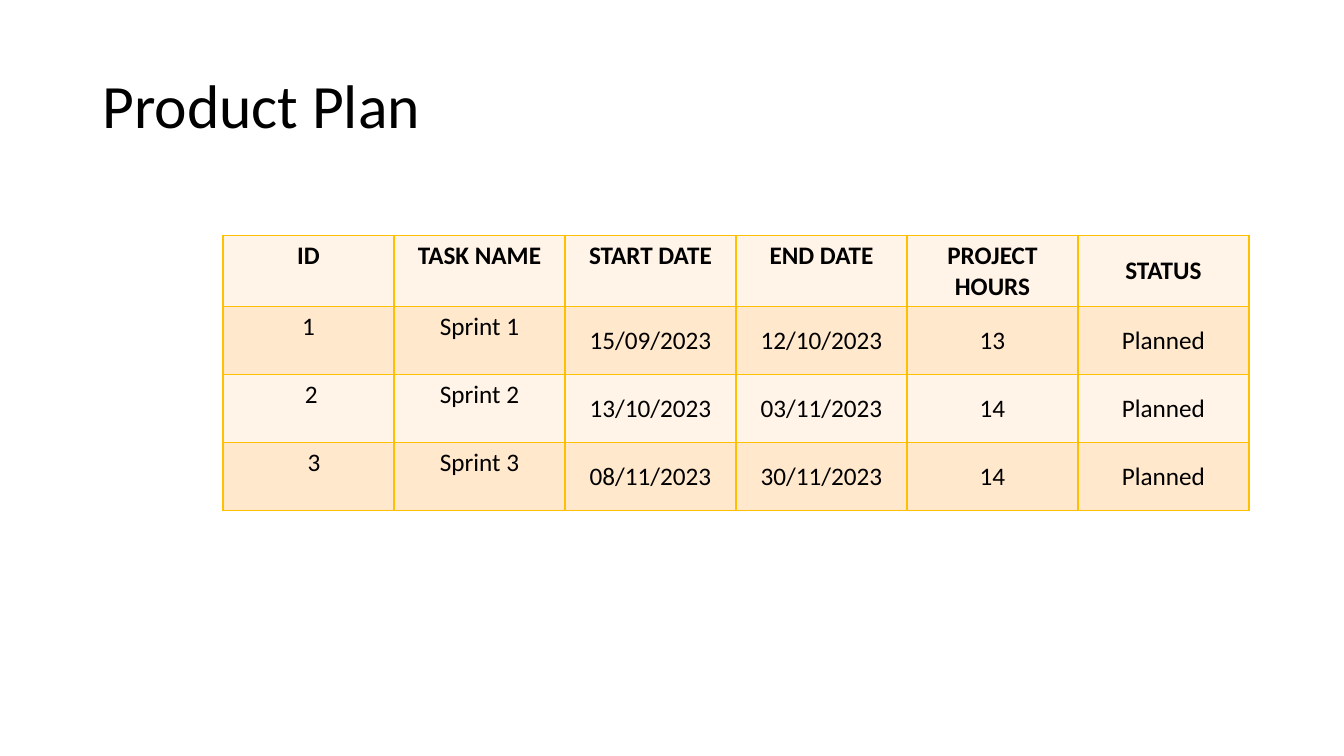
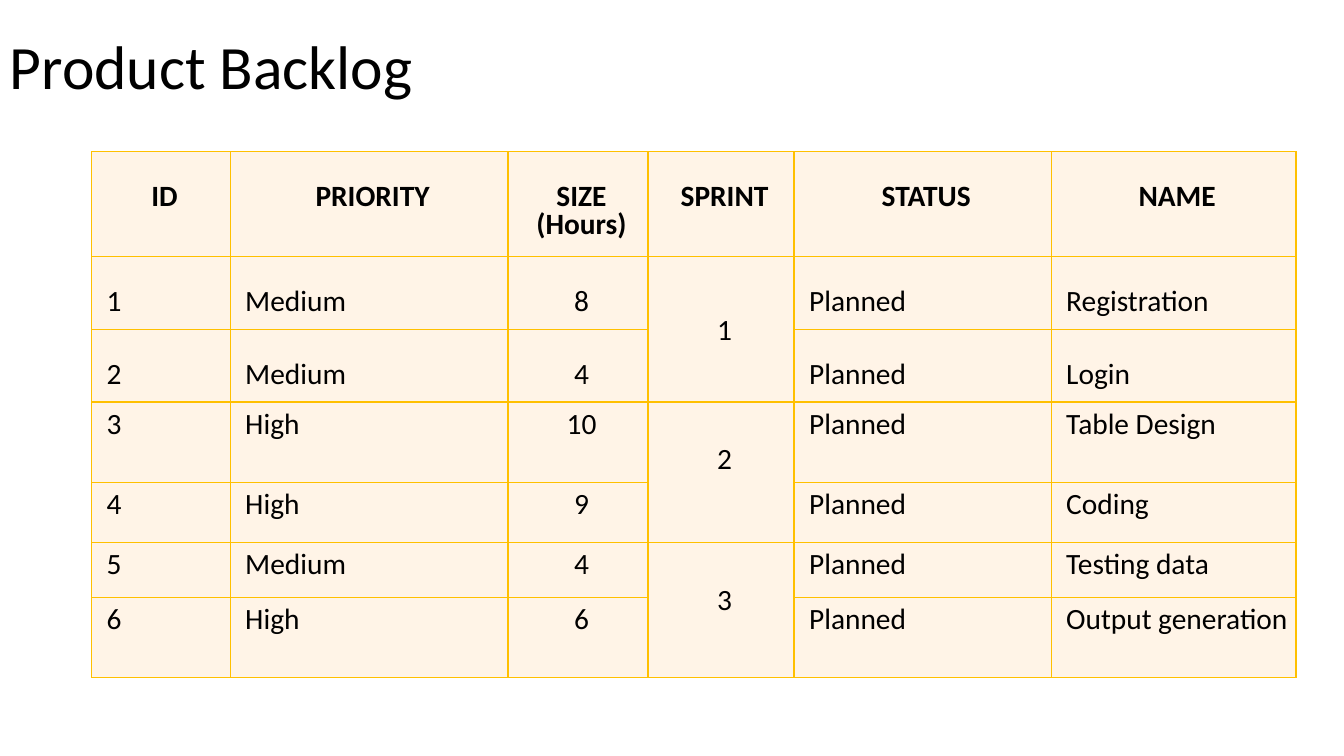
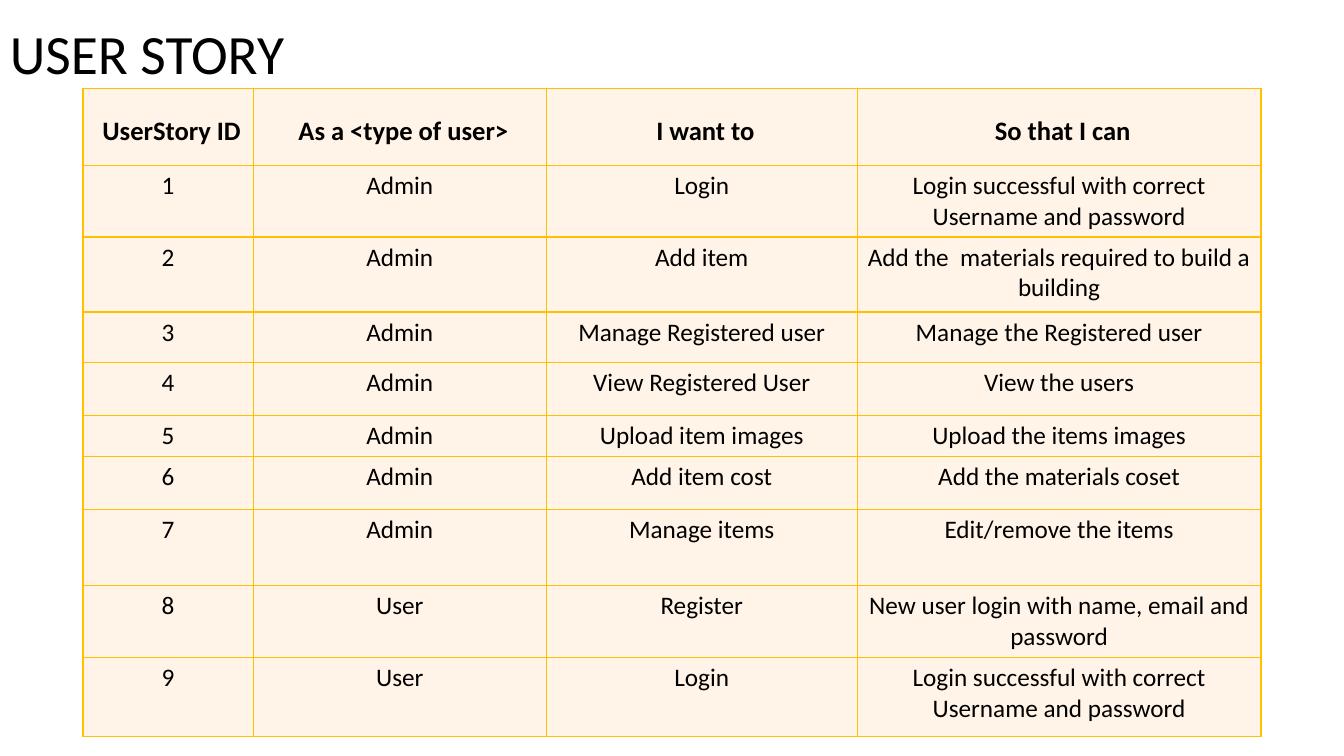
from dataclasses import dataclass

from lxml.etree import SubElement
from pptx import Presentation
from pptx.dml.color import RGBColor
from pptx.enum.text import MSO_ANCHOR as Anchor, PP_ALIGN as Align
from pptx.oxml.ns import qn
from pptx.util import Cm, Pt

# Shared look
FONT = "Calibri"
BLACK = RGBColor(0x00, 0x00, 0x00)
GOLD = RGBColor(0xFF, 0xC0, 0x00)
CREAM = RGBColor(0xFF, 0xF4, 0xE7)
PEACH = RGBColor(0xFF, 0xE8, 0xCC)
BORDER_WIDTH = Pt(1)


@dataclass
class CellStyle:
    """Text and margins of a cell; margins are in centimetres."""
    size: float = 18
    bold: bool = False
    align: Align = Align.CENTER
    anchor: Anchor = Anchor.TOP
    left: float = 0.25
    right: float = 0.25
    top: float = 0.13
    bottom: float = 0.13
    spacing: float = 1.0
    fill: RGBColor = CREAM


# Text
def style_paragraph(paragraph, size, bold=False, align=Align.LEFT, spacing=1.0):
    paragraph.alignment = align
    paragraph.line_spacing = spacing
    paragraph.font.name = FONT
    paragraph.font.size = Pt(size)
    paragraph.font.bold = bold
    paragraph.font.color.rgb = BLACK


def add_title(slide, text, left, top, width=29.21, height=3.68, size=44):
    box = slide.shapes.add_textbox(Cm(left), Cm(top), Cm(width), Cm(height))
    frame = box.text_frame
    frame.word_wrap = True
    frame.vertical_anchor = Anchor.MIDDLE
    frame.text = text
    style_paragraph(frame.paragraphs[0], size, spacing=0.9)


# Tables
def set_borders(cell):
    properties = cell._tc.get_or_add_tcPr()
    for side in ("lnL", "lnR", "lnT", "lnB"):
        line = SubElement(properties, qn(f"a:{side}"), w=str(BORDER_WIDTH))
        fill = SubElement(line, qn("a:solidFill"))
        SubElement(fill, qn("a:srgbClr"), val=str(GOLD))


def fill_cell(cell, text, style):
    set_borders(cell)
    cell.fill.solid()
    cell.fill.fore_color.rgb = style.fill
    cell.vertical_anchor = style.anchor
    cell.margin_left, cell.margin_right = Cm(style.left), Cm(style.right)
    cell.margin_top, cell.margin_bottom = Cm(style.top), Cm(style.bottom)
    cell.text = text
    for paragraph in cell.text_frame.paragraphs:
        style_paragraph(paragraph, style.size, style.bold, style.align, style.spacing)


def add_grid(slide, left, top, widths, heights, rows, style_for):
    """Add a table; a None entry merges into the cell above it."""
    frame = slide.shapes.add_table(len(rows), len(widths), Cm(left), Cm(top),
                                   Cm(sum(widths)), Cm(sum(heights)))
    table = frame.table
    for column, width in zip(table.columns, widths):
        column.width = Cm(width)
    for row, height in zip(table.rows, heights):
        row.height = Cm(height)
    for r, values in enumerate(rows):
        for c, value in enumerate(values):
            fill_cell(table.cell(r, c), value or "", style_for(r, c))
            if value is None:
                table.cell(r - 1, c).merge(table.cell(r, c))


# Product plan
PLAN = [
    ("ID", "TASK NAME", "START DATE", "END DATE", "PROJECT HOURS", "STATUS"),
    ("1", "Sprint 1", "15/09/2023", "12/10/2023", "13", "Planned"),
    ("2", "Sprint 2", "13/10/2023", "03/11/2023", "14", "Planned"),
    ("3", "Sprint 3", "08/11/2023", "30/11/2023", "14", "Planned"),
]


def plan_style(row, column):
    centred = column == 5 or (row > 0 and column > 1)
    style = CellStyle(bold=row == 0, fill=PEACH if row % 2 else CREAM,
                      anchor=Anchor.MIDDLE if centred else Anchor.TOP)
    if column == 0 and row > 1:
        style.left += 0.14 * (row - 1)  # the numbers step to the right
    return style


def build_plan(slide):
    add_title(slide, "Product Plan", 2.33, 0.89)
    add_grid(slide, 5.62, 5.93, [4.31] * 6, [1.8] + [1.71] * 3, PLAN, plan_style)


# Product backlog
BACKLOG = [
    ("ID", "PRIORITY", "SIZE\n(Hours)", "SPRINT", "STATUS", "NAME"),
    ("1", "Medium", "8", "1", "Planned", "Registration"),
    ("2", "Medium", "4", None, "Planned", "Login"),
    ("3", "High", "10", "2", "Planned", "Table Design"),
    ("4", "High", "9", None, "Planned", "Coding"),
    ("5", "Medium", "4", "3", "Planned", "Testing data"),
    ("6", "High", "6", None, "Planned", "Output generation"),
]
SPRINT_COLUMN = 3


def backlog_style(row, column):
    centred = row == 0 or column in (2, SPRINT_COLUMN)
    style = CellStyle(size=21, bold=row == 0, left=0.38, right=0.2, top=0.1, bottom=0.1,
                      align=Align.CENTER if centred else Align.LEFT)
    if row < 3:
        style.spacing = 0.79
        style.top = 0.81
    if column == SPRINT_COLUMN and row in (1, 3, 5):
        style.top = 1.53 if row == 1 else 1.0
    return style


def build_backlog(slide):
    add_title(slide, "Product Backlog", 0, -0.08)
    add_grid(slide, 2.31, 3.82, [3.49, 7, 3.53, 3.68, 6.48, 6.17],
             [2.65, 1.83, 1.83, 2.02, 1.52, 1.39, 2.02], BACKLOG, backlog_style)


# User stories
STORIES = [
    ("UserStory ID", "As a <type of user>", "I want to", "So that I can"),
    ("1", "Admin", "Login", "Login successful with correct Username and password"),
    ("2", "Admin", "Add item", "Add the  materials required to build a building"),
    ("3", "Admin", "Manage Registered user", "Manage the Registered user"),
    ("4", "Admin", "View Registered User", "View the users"),
    ("5", "Admin", "Upload item images", "Upload the items images"),
    ("6", "Admin", "Add item cost", "Add the materials coset"),
    ("7", "Admin", "Manage items", "Edit/remove the items"),
    ("8", "User", "Register", "New user login with name, email and password"),
    ("9", "User", "Login", "Login successful with correct Username and password"),
]


def story_style(row, column):
    if row == 0:
        return CellStyle(size=19, bold=True, left=0.38, right=0.2, top=0.78, bottom=0.1,
                         spacing=0.83)
    return CellStyle()


def build_stories(slide):
    add_title(slide, "USER STORY", 0, 0, 7.65, 2.84, size=39.6)
    add_grid(slide, 2.09, 2.23, [4.29, 7.39, 7.83, 10.18],
             [1.94, 1.8, 1.89, 1.28, 1.33, 1.03, 1.33, 1.92, 1.81, 2],
             STORIES, story_style)


def main():
    presentation = Presentation()
    presentation.slide_width, presentation.slide_height = Cm(33.87), Cm(19.05)
    blank = presentation.slide_layouts[6]
    for build in (build_plan, build_backlog, build_stories):
        build(presentation.slides.add_slide(blank))
    presentation.save("out.pptx")


if __name__ == "__main__":
    main()
